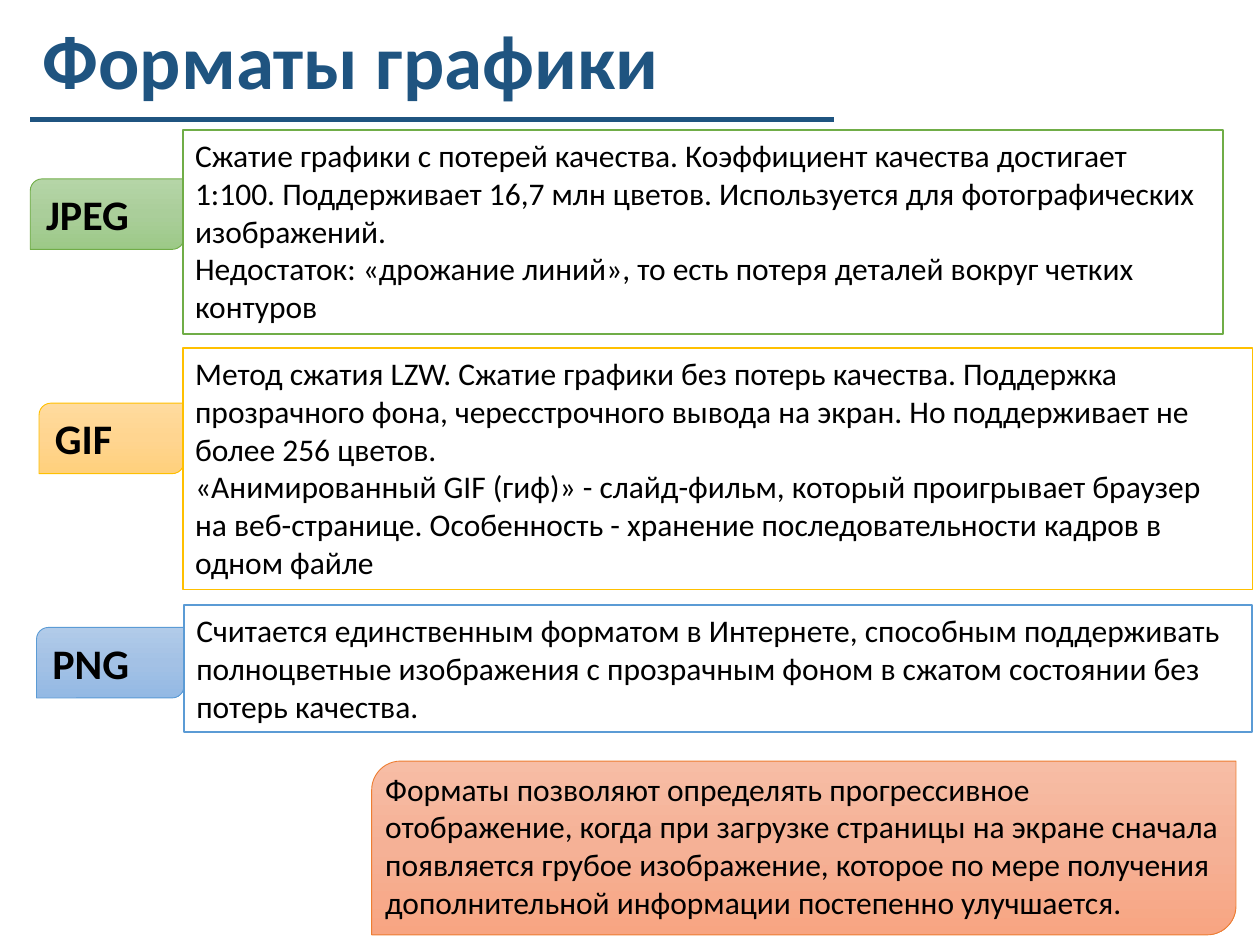
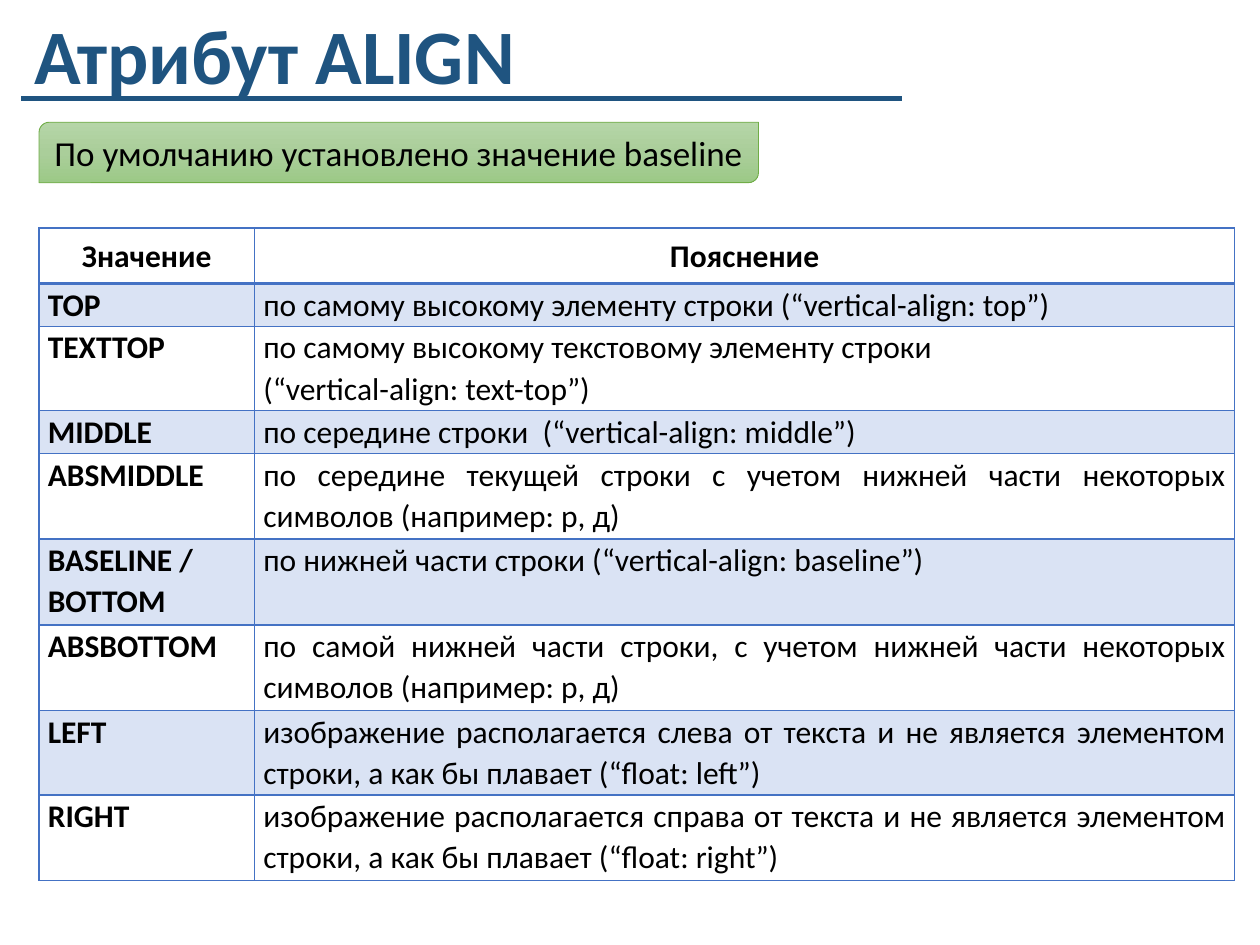
import copy
from dataclasses import dataclass

import pptx
import pptx.util
from pptx.dml.color import RGBColor
from pptx.enum.shapes import MSO_CONNECTOR, MSO_SHAPE
from pptx.enum.text import MSO_ANCHOR, MSO_AUTO_SIZE, PP_ALIGN
from pptx.oxml.ns import qn
from pptx.util import Inches


@dataclass(frozen=True)
class Accent:
    line: str
    gradient: tuple = ()


@dataclass(frozen=True)
class Theme:
    font: str = "Calibri"
    title: str = "1F5480"
    text: str = "000000"
    paper: str = "FFFFFF"
    grid: str = "4472C4"
    band: str = "DAE3F4"
    title_size: int = 44
    tab_size: int = 24
    note_size: int = 20
    body_size: int = 18
    green: Accent = Accent("70AD47", ("B5D5A7", "AACE9A", "9CC987"))
    yellow: Accent = Accent("FFC000", ("FFDB9E", "FFD590", "FFD07C"))
    blue: Accent = Accent("5B9BD5", ("B1CBE9", "A3C1E5", "93B9E4"))
    orange: Accent = Accent("ED7D31", ("F7BDA5", "F5B196", "F8A582"))


THEME = Theme()

# label, accent, tab box, description box, description
FORMATS = [
    ("JPEG", THEME.green, (0.24, 1.42, 1.22, 0.56), (1.45, 1.03, 8.26, 1.62),
     "Сжатие графики с потерей качества. Коэффициент качества достигает 1:100. "
     "Поддерживает 16,7 млн цветов. Используется для фотографических изображений.\n"
     "Недостаток: «дрожание линий», то есть потеря деталей вокруг четких контуров"),
    ("GIF", THEME.yellow, (0.31, 3.2, 1.15, 0.56), (1.45, 2.76, 8.49, 1.92),
     "Метод сжатия LZW. Сжатие графики без потерь качества. Поддержка прозрачного фона, "
     "чересстрочного вывода на экран. Но поддерживает не более 256 цветов.\n"
     "«Анимированный GIF (гиф)» - слайд-фильм, который проигрывает браузер на веб-странице. "
     "Особенность - хранение последовательности кадров в одном файле"),
    ("PNG", THEME.blue, (0.29, 4.98, 1.17, 0.56), (1.46, 4.8, 8.48, 1.01),
     "Считается единственным форматом в Интернете, способным поддерживать полноцветные "
     "изображения с прозрачным фоном в сжатом состоянии без потерь качества."),
]
PROGRESSIVE = (
    "Форматы позволяют определять прогрессивное отображение, когда при загрузке страницы "
    "на экране сначала появляется грубое изображение, которое по мере получения "
    "дополнительной информации постепенно улучшается.")

# value, explanation, row height
ALIGN_ROWS = [
    ("Значение", "Пояснение", 0.44),
    ("TOP", "по самому высокому элементу строки (“vertical-align: top”)", 0.34),
    ("TEXTTOP", "по самому высокому текстовому элементу строки\n(“vertical-align: text-top”)", 0.67),
    ("MIDDLE", "по середине строки  (“vertical-align: middle”)", 0.34),
    ("ABSMIDDLE", "по середине текущей строки с учетом нижней части некоторых символов "
                  "(например: р, д)", 0.68),
    ("BASELINE /\nBOTTOM", "по нижней части строки (“vertical-align: baseline”)", 0.68),
    ("ABSBOTTOM", "по самой нижней части строки, с учетом нижней части некоторых символов "
                  "(например: р, д)", 0.68),
    ("LEFT", "изображение располагается слева от текста и не является элементом строки, "
             "а как бы плавает (“float: left”)", 0.67),
    ("RIGHT", "изображение располагается справа от текста и не является элементом строки, "
              "а как бы плавает (“float: right”)", 0.68),
]


def rgb(color):
    return RGBColor.from_string(color)


def inches(box):
    return [Inches(v) for v in box]


def write(tf, text, size=THEME.body_size, color=THEME.text, bold=False,
          align=PP_ALIGN.LEFT, spacing=None):
    """Fill a text frame, one paragraph per line of text."""
    for i, line in enumerate(text.split("\n")):
        p = tf.add_paragraph() if i else tf.paragraphs[0]
        p.alignment = align
        p.line_spacing = spacing
        r = p.add_run()
        r.text = line
        r.font.name = THEME.font
        r.font.size = pptx.util.Pt(size)
        r.font.bold = bold
        r.font.color.rgb = rgb(color)


def fill_gradient(sp, colors):
    """Fill from top to bottom with three evenly spaced colours."""
    first, middle, last = colors
    sp.fill.gradient()
    sp.fill.gradient_angle = 270
    for stop, color in zip(sp.fill.gradient_stops, (first, last)):
        stop.color.rgb = rgb(color)
    start = sp._element.spPr.find(qn("a:gradFill")).find(qn("a:gsLst"))[0]
    center = copy.deepcopy(start)
    center.set("pos", "50000")
    center.find(qn("a:srgbClr")).set("val", middle)
    start.addnext(center)


def add_box(s, kind, box, text, line, line_width, wrap=True, insets=(0.1, 0.05), **fmt):
    sp = s.shapes.add_shape(kind, *inches(box))
    sp.shadow.inherit = False
    sp.line.color.rgb = rgb(line)
    sp.line.width = pptx.util.Pt(line_width)
    tf = sp.text_frame
    tf.word_wrap = wrap
    tf.vertical_anchor = MSO_ANCHOR.TOP
    tf.margin_left = tf.margin_right = Inches(insets[0])
    tf.margin_top = tf.margin_bottom = Inches(insets[1])
    write(tf, text, **fmt)
    return sp


def add_plaque(s, box, text, accent, **fmt):
    sp = add_box(s, MSO_SHAPE.ROUND_2_DIAG_RECTANGLE, box, text, accent.line, 0.5, **fmt)
    fill_gradient(sp, accent.gradient)


def add_panel(s, box, text, accent):
    sp = add_box(s, MSO_SHAPE.RECTANGLE, box, text, accent.line, 1)
    sp.fill.solid()
    sp.fill.fore_color.rgb = rgb(THEME.paper)


def add_heading(s, text, box, rule_y, rule_length, spacing):
    """Place the title with a rule starting at its left edge."""
    title = s.shapes.title
    title.left, title.top, title.width, title.height = inches(box)
    tf = title.text_frame
    tf.auto_size = MSO_AUTO_SIZE.NONE
    tf.vertical_anchor = MSO_ANCHOR.MIDDLE
    write(tf, text, size=THEME.title_size, color=THEME.title, bold=True, spacing=spacing)
    left = box[0]
    rule = s.shapes.add_connector(
        MSO_CONNECTOR.STRAIGHT, *inches((left, rule_y, left + rule_length, rule_y)))
    rule.line.color.rgb = rgb(THEME.title)
    rule.line.width = pptx.util.Pt(3)
    rule._element.spPr.append(pptx.oxml.parse_xml(
        '<a:effectLst xmlns:a="http://schemas.openxmlformats.org/drawingml/2006/main"/>'))


def set_borders(cell, top, bottom):
    """Draw the four borders of a cell; top and bottom are widths in points."""
    tcPr = cell._tc.get_or_add_tcPr()
    widths = {"lnL": 1, "lnR": 1, "lnT": top, "lnB": bottom}
    for i, (tag, width) in enumerate(widths.items()):
        ln = pptx.oxml.parse_xml(
            f'<a:{tag} xmlns:a="http://schemas.openxmlformats.org/drawingml/2006/main" '
            f'w="{pptx.util.Pt(width)}"><a:solidFill><a:srgbClr val="{THEME.grid}"/>'
            f'</a:solidFill></a:{tag}>')
        tcPr.insert(i, ln)


def add_align_table(s, box, col_widths):
    table = s.shapes.add_table(len(ALIGN_ROWS), len(col_widths), *inches(box)).table
    for col, width in zip(table.columns, col_widths):
        col.width = Inches(width)
    for i, (*texts, height) in enumerate(ALIGN_ROWS):
        table.rows[i].height = Inches(height)
        header = i == 0
        for j, text in enumerate(texts):
            cell = table.cell(i, j)
            cell.margin_left = cell.margin_right = Inches(0.07)
            cell.margin_top = cell.margin_bottom = 0
            cell.vertical_anchor = MSO_ANCHOR.MIDDLE if header else MSO_ANCHOR.TOP
            cell.fill.solid()
            cell.fill.fore_color.rgb = rgb(THEME.band if i % 2 else THEME.paper)
            set_borders(cell, top=2 if i == 1 else 1, bottom=2 if header else 1)
            write(cell.text_frame, text, bold=header or j == 0, spacing=1.07,
                  align=PP_ALIGN.CENTER if header else PP_ALIGN.JUSTIFY)


def add_formats_slide(prs):
    s = prs.slides.add_slide(prs.slide_layouts.get_by_name("Title Only"))
    add_heading(s, "Форматы графики", (0.24, 0, 7.54, 1.03), 0.95, 6.38, spacing=0.9)
    for label, accent, tab_box, panel_box, description in FORMATS:
        add_plaque(s, tab_box, label, accent, size=THEME.tab_size, bold=True,
                   align=PP_ALIGN.JUSTIFY)
        add_panel(s, panel_box, description, accent)
    add_plaque(s, (2.95, 6.04, 6.86, 1.38), PROGRESSIVE, THEME.orange, insets=(0.04, 0))


def add_align_slide(prs):
    s = prs.slides.add_slide(prs.slide_layouts.get_by_name("Title Only"))
    add_heading(s, "Атрибут ALIGN", (0.17, 0, 9.33, 1.03), 0.78, 6.99, spacing=0.7)
    add_align_table(s, (0.31, 1.81, 9.49, 5.18), (1.71, 7.78))
    add_plaque(s, (0.31, 0.97, 5.71, 0.48), "По умолчанию установлено значение baseline",
               THEME.green, wrap=False, size=THEME.note_size)


def main():
    prs = pptx.Presentation()
    prs.slide_width, prs.slide_height = Inches(10), Inches(7.5)
    add_formats_slide(prs)
    add_align_slide(prs)
    prs.save("out.pptx")


if __name__ == "__main__":
    main()
